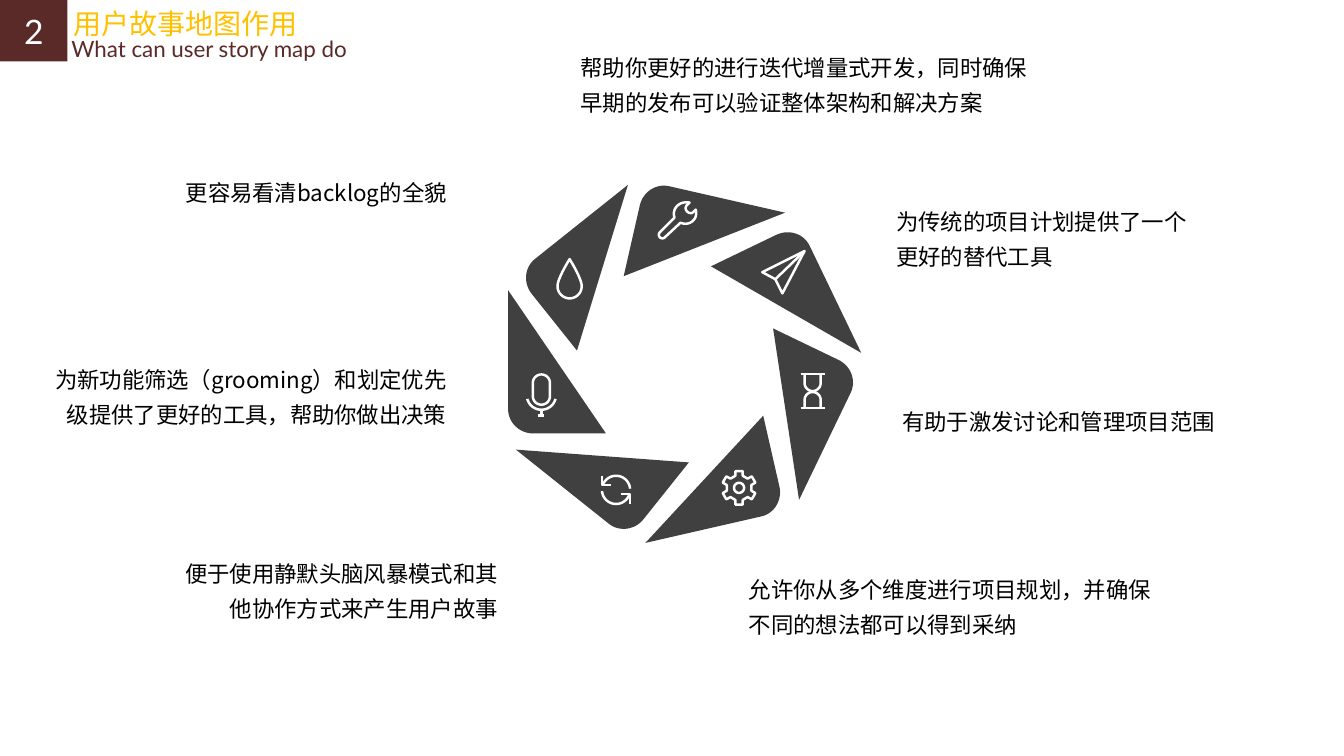
from dataclasses import dataclass
from math import cos, radians, sin

from lxml.etree import SubElement
from pptx import Presentation
from pptx.dml.color import RGBColor
from pptx.enum.shapes import MSO_SHAPE as Shape
from pptx.enum.text import MSO_ANCHOR as Anchor, MSO_AUTO_SIZE as AutoSize, PP_ALIGN as Align
from pptx.oxml.ns import qn
from pptx.util import Inches, Pt

CJK, LATIN = "Noto Sans CJK SC", "Lato"
DARK, WHITE, BLACK, BROWN, GOLD = "404040", "FFFFFF", "000000", "592A28", "FFC000"
BLADES = 7
CENTER = (6.72, 3.59)

Point = tuple[float, float]
Path = list[Point]


@dataclass
class Stroke:
    points: Path
    closed: bool = False


@dataclass
class Note:
    left: float
    top: float
    width: float
    height: float
    text: str
    align: Align = Align.LEFT


def rgb(color: str) -> RGBColor:
    return RGBColor.from_string(color)


# Geometry: angles in degrees, clockwise from the right
def arc(cx: float, cy: float, r: float, start: float, end: float, steps: int = 24) -> Path:
    angles = [radians(start + (end - start) * i / steps) for i in range(steps + 1)]
    return [(cx + r * cos(a), cy + r * sin(a)) for a in angles]


def bezier(a: Point, b: Point, c: Point, d: Point, steps: int = 16) -> Path:
    def at(t: float) -> Point:
        u = 1 - t
        x, y = (u**3 * k + 3 * u * u * t * m + 3 * u * t * t * n + t**3 * o
                for k, m, n, o in zip(a, b, c, d))
        return x, y
    return [at(i / steps) for i in range(steps + 1)]


def rotate(points: Path, angle: float) -> Path:
    (cx, cy), co, si = CENTER, cos(radians(angle)), sin(radians(angle))
    return [(cx + (x - cx) * co - (y - cy) * si, cy + (x - cx) * si + (y - cy) * co)
            for x, y in points]


def add_outline(s, strokes: list[Stroke]):
    paths = [[(Inches(x), Inches(y)) for x, y in k.points] for k in strokes]
    builder = s.shapes.build_freeform(*paths[0][0])
    for i, (stroke, path) in enumerate(zip(strokes, paths)):
        if i:
            builder.move_to(*path[0])
        builder.add_line_segments(path[1:], close=stroke.closed)
    sp = builder.convert_to_shape()
    sp.shadow.inherit = False
    return sp


def add_blade(s, points: Path) -> None:
    sp = add_outline(s, [Stroke(points, True)])
    sp.fill.solid()
    sp.fill.fore_color.rgb = rgb(DARK)
    sp.line.fill.background()


def add_icon(s, strokes: list[Stroke]) -> None:
    sp = add_outline(s, strokes)
    sp.fill.background()
    sp.line.color.rgb = rgb(WHITE)
    sp.line.width = Pt(1.75)


def write(sp, text: str, size: float, font: str, color: str,
          align: Align = Align.LEFT, spacing: float = 1.0, anchor: Anchor = Anchor.TOP) -> None:
    tf = sp.text_frame
    tf.word_wrap = True
    tf.auto_size = AutoSize.NONE
    tf.vertical_anchor = anchor
    p = tf.paragraphs[0]
    p.text = text
    p.alignment = align
    p.line_spacing = spacing
    p.font.size = Pt(size)
    p.font.color.rgb = rgb(color)
    p.font.name = font
    SubElement(p._p.pPr.find(qn("a:defRPr")), qn("a:ea"), typeface=font)


def add_text(s, box: tuple[float, ...], *args, **kwargs) -> None:
    write(s.shapes.add_textbox(*map(Inches, box)), *args, **kwargs)


# Icons as stroked paths
MICROPHONE = [
    Stroke(arc(5.37, 3.8, 0.085, 180, 360) + arc(5.37, 3.93, 0.085, 0, 180), True),
    Stroke(arc(5.37, 3.92, 0.145, 15, 165)),
    Stroke([(5.37, 4.06), (5.37, 4.12)]),
    Stroke([(5.34, 4.12), (5.4, 4.12)]),
]
DROP = [Stroke(
    bezier((5.65, 2.57), (5.62, 2.62), (5.53, 2.77), (5.53, 2.84))
    + arc(5.65, 2.84, 0.12, 180, 0)
    + bezier((5.77, 2.84), (5.77, 2.77), (5.68, 2.62), (5.65, 2.57)), True)]
WRENCH = [Stroke(
    bezier((6.87, 2.11), (6.83, 2.13), (6.78, 2.08), (6.81, 2.04))
    + bezier((6.84, 2.01), (6.75, 1.99), (6.66, 2.06), (6.69, 2.16))
    + arc(6.57, 2.33, 0.035, 225, 45)
    + bezier((6.75, 2.21), (6.84, 2.25), (6.93, 2.17), (6.9, 2.08)), True)]
PLANE = [
    Stroke([(7.98, 2.49), (7.56, 2.7), (7.69, 2.77), (7.76, 2.91)], True),
    Stroke([(7.69, 2.77), (7.98, 2.49)]),
]
HOURGLASS = [
    Stroke([(7.94, 3.71), (8.18, 3.71)]),
    Stroke([(7.98, 3.71), *arc(8.06, 3.8, 0.08, 180, 0), (8.14, 3.71)]),
    Stroke([(7.98, 4.05), *arc(8.06, 3.97, 0.08, 180, 360), (8.14, 4.05)]),
    Stroke([(7.94, 4.05), (8.18, 4.05)]),
]
GEAR_TOOTH = [(-17, 0.125), (-12, 0.17), (12, 0.17), (17, 0.125)]
GEAR = [
    Stroke([(7.33 + r * cos(radians(60 * k - 90 + a)), 4.84 + r * sin(radians(60 * k - 90 + a)))
            for k in range(6) for a, r in GEAR_TOOTH], True),
    Stroke(arc(7.33, 4.84, 0.05, 0, 360), True),
]
REFRESH = [
    Stroke(arc(6.11, 4.86, 0.14, 200, 355)),
    Stroke([(5.97, 4.72), (5.97, 4.81), (6.06, 4.81)]),
    Stroke(arc(6.11, 4.86, 0.14, 20, 175)),
    Stroke([(6.25, 5.0), (6.25, 4.9), (6.16, 4.9)]),
]
ICONS = [MICROPHONE, DROP, WRENCH, PLANE, HOURGLASS, GEAR, REFRESH]

NOTES = [
    Note(0.33, 1.65, 4.2, 0.42, "更容易看清backlog的全貌", Align.RIGHT),
    Note(0.33, 3.5, 4.2, 0.77,
         "为新功能筛选（grooming）和划定优先级提供了更好的工具，帮助你做出决策", Align.RIGHT),
    Note(1.71, 5.43, 3.33, 0.77, "便于使用静默头脑风暴模式和其他协作方式来产生用户故事", Align.RIGHT),
    Note(5.66, 0.41, 4.81, 0.77,
         "帮助你更好的进行迭代增量式开发，同时确保早期的发布可以验证整体架构和解决方案"),
    Note(8.79, 1.94, 3.15, 0.77, "为传统的项目计划提供了一个更好的替代工具"),
    Note(8.85, 3.92, 4.2, 0.42, "有助于激发讨论和管理项目范围"),
    Note(7.33, 5.59, 4.2, 0.77, "允许你从多个维度进行项目规划，并确保不同的想法都可以得到采纳"),
]


def main() -> None:
    prs = Presentation()
    prs.slide_width, prs.slide_height = Inches(13.33), Inches(7.5)
    s = prs.slides.add_slide(prs.slide_layouts[5])

    # Aperture ring: one blade turned about the center
    blade = [(5.04, 2.88), (6.01, 4.3), *bezier((5.29, 4.3), (5.15, 4.3), (5.04, 4.19), (5.04, 4.06))]
    for k, icon in enumerate(ICONS):
        add_blade(s, rotate(blade, 360 / BLADES * k))
    for icon in ICONS:
        add_icon(s, icon)

    # Header
    badge = s.shapes.add_shape(Shape.RECTANGLE, 0, 0, Inches(0.67), Inches(0.61))
    badge.shadow.inherit = False
    badge.fill.solid()
    badge.fill.fore_color.rgb = rgb(BROWN)
    badge.line.fill.background()
    write(badge, "2", 24, LATIN, WHITE, Align.CENTER, anchor=Anchor.MIDDLE)
    title = s.shapes.title
    title.left, title.top, title.width, title.height = map(Inches, (0.63, 0.01, 2.52, 0.44))
    write(title, "用户故事地图作用", 20, CJK, GOLD)
    add_text(s, (0.61, 0.3, 3.01, 0.37), "What can user story map do", 16, LATIN, BROWN)

    # Notes around the ring
    for n in NOTES:
        add_text(s, (n.left, n.top, n.width, n.height), n.text, 16, CJK, BLACK, n.align, 1.3)

    prs.save("out.pptx")


if __name__ == "__main__":
    main()
